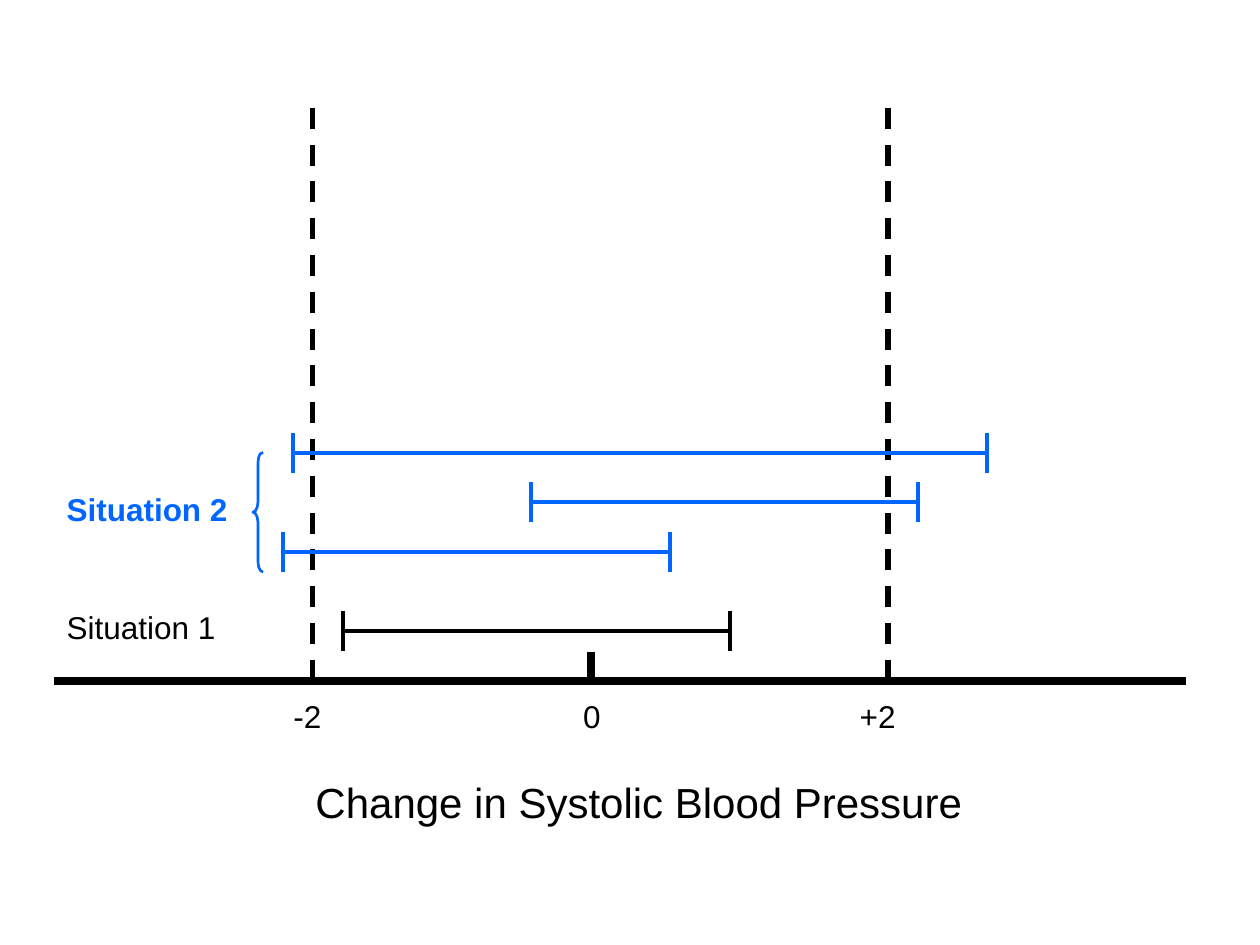
from lxml.etree import SubElement
from pptx import Presentation
from pptx.dml.color import RGBColor
from pptx.enum.dml import MSO_LINE
from pptx.enum.shapes import MSO_CONNECTOR, MSO_SHAPE
from pptx.enum.text import MSO_AUTO_SIZE
from pptx.oxml.ns import qn
from pptx.util import Pt

BLACK = RGBColor(0x00, 0x00, 0x00)
BLUE = RGBColor(0x00, 0x66, 0xFF)
CAP_HALF_HEIGHT = 11.3


def add_line(shapes, start, end, width, color=BLACK, dash=None):
    line = shapes.add_connector(MSO_CONNECTOR.STRAIGHT, *map(Pt, start + end))
    line.line.width = Pt(width)
    line.line.color.rgb = color
    if dash:
        line.line.dash_style = dash
    SubElement(line._element.spPr, qn("a:effectLst"))


def add_label(page, text, left, top, width, height, size=18, color=BLACK, bold=False, wrap=False):
    box = page.shapes.add_textbox(Pt(left), Pt(top), Pt(width), Pt(height))
    box.text_frame.word_wrap = wrap
    box.text_frame.auto_size = MSO_AUTO_SIZE.SHAPE_TO_FIT_TEXT
    para = box.text_frame.paragraphs[0]
    para.text = text
    para.font.name = "Arial"
    para.font.size = Pt(size)
    para.font.bold = bold
    para.font.color.rgb = color


def add_axis(page, left, top, width, height):
    bottom = top + height
    add_line(page.shapes, (left, bottom), (left + width, bottom), 4.5)
    add_line(page.shapes, (337.5, bottom - 16.5), (337.5, bottom), 4.5)
    for x in (178.6, 507.4):
        add_line(page.shapes, (x, bottom), (x, top), 3, dash=MSO_LINE.DASH)
    add_label(page, "Change in Systolic Blood Pressure", 173.2, bottom + 50.8, 383.8, 36, size=24)
    for text, label_left, label_width in (("0", 326.2, 24.5), ("+2", 484.2, 36), ("-2", 160.6, 30.2)):
        add_label(page, text, label_left, bottom + 5.5, label_width, 28.8)


def add_interval(page, left, right, middle, color):
    group = page.shapes.add_group_shape()
    add_line(group.shapes, (left, middle), (right, middle), 2.25, color)
    for x in (right, left):
        add_line(group.shapes, (x, middle - CAP_HALF_HEIGHT), (x, middle + CAP_HALF_HEIGHT), 2.25, color)


def add_brace(page, left, top, width, height):
    brace = page.shapes.add_shape(MSO_SHAPE.LEFT_BRACE, Pt(left), Pt(top), Pt(width), Pt(height))
    brace.adjustments[0] = 1
    brace.shadow.inherit = False
    brace.fill.background()
    brace.line.color.rgb = BLUE
    brace.line.width = Pt(1.5)


def add_situation(page, name, label_top, intervals, color, bold=False):
    add_label(page, name, 31, label_top, 124.6, 50.4, color=color, bold=bold, wrap=True)
    for left, right, middle in intervals:
        add_interval(page, left, right, middle, color)


def main():
    deck = Presentation()
    deck.slide_width, deck.slide_height = Pt(720), Pt(540)
    page = deck.slides.add_slide(deck.slide_layouts[6])
    add_axis(page, 31, 61.1, 646.5, 328)
    add_situation(page, "Situation 1", 343.7, [(195.8, 416.9, 360.5)], BLACK)
    situation_2 = [(161.6, 382.7, 315.3), (303.3, 524.4, 287), (167.3, 564, 258.7)]
    add_situation(page, "Situation 2", 276.3, situation_2, BLUE, bold=True)
    add_brace(page, 144.5, 258.5, 5.8, 68.4)
    deck.save("out.pptx")


if __name__ == "__main__":
    main()
